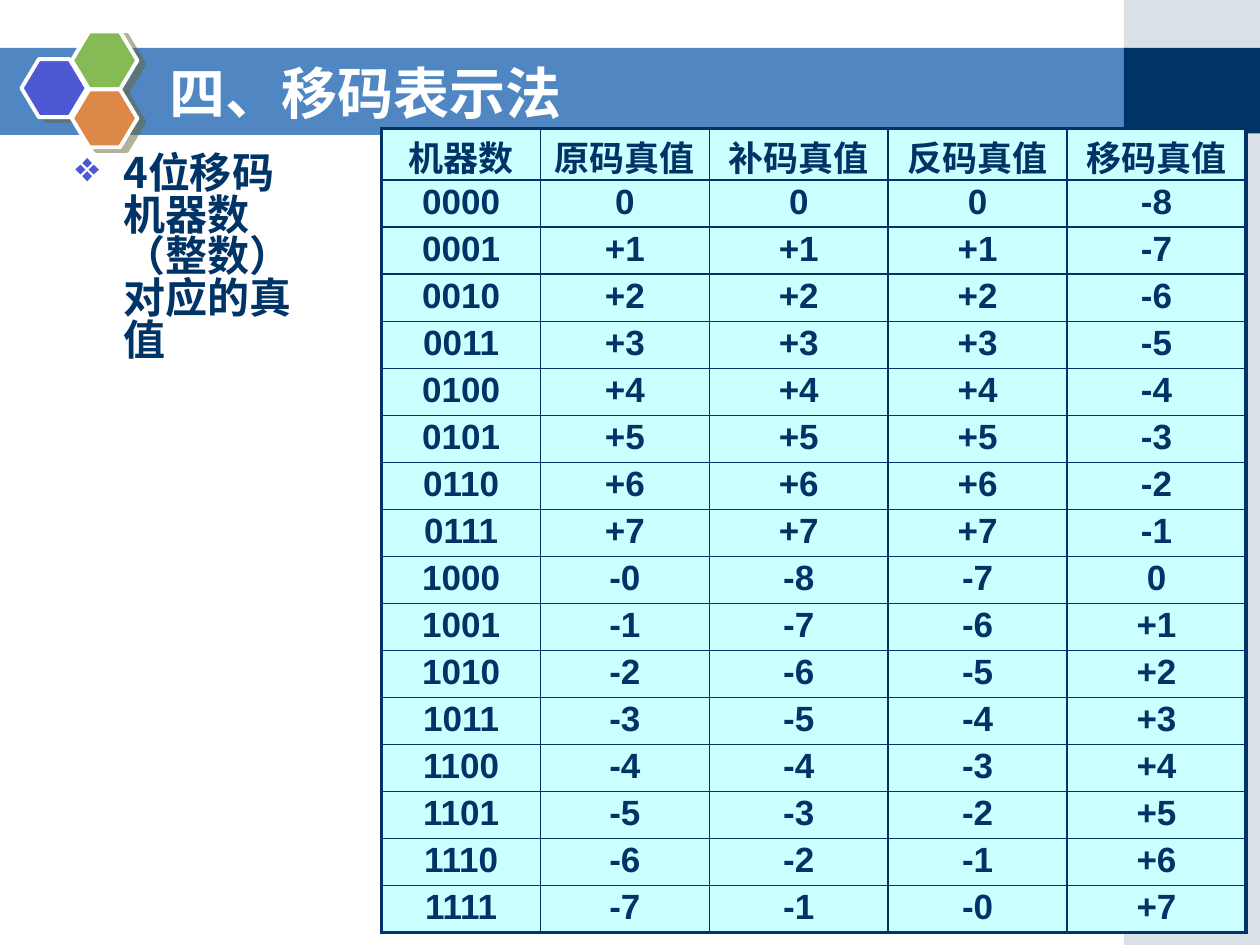
from lxml import etree
from pptx import Presentation, util as u
from pptx.dml.color import RGBColor
from pptx.enum import shapes, text
from pptx.oxml.ns import qn

C = {"band": "5086C2", "panel": "A0B5C4", "navy": "003366", "white": "FFFFFF",
     "blue": "4C59D2", "green": "85BA54", "orange": "DE8848",
     "shade": "666633", "cell": "CCFFFF"}
CJK = "Noto Sans CJK SC"

prs = Presentation()
prs.slide_width, prs.slide_height = u.Inches(10), u.Inches(7.5)
COL, ROW = prs.slide_width / 100, prs.slide_height / 75
s = prs.slides.add_slide(prs.slide_layouts[6])


def add_block(kind, x, y, w, h, color):
    sp = s.shapes.add_shape(kind, int(x * COL), int(y * ROW), int(w * COL), int(h * ROW))
    sp.shadow.inherit = False
    sp.fill.solid()
    sp.fill.fore_color.rgb = RGBColor.from_string(C[color])
    sp.line.fill.background()
    return sp


def write(tf, words, size, color, font):
    p = tf.paragraphs[0]
    p.add_run().text = words
    p.font.size, p.font.bold, p.font.name = u.Pt(size), True, font
    p.font.color.rgb = RGBColor.from_string(C[color])
    etree.SubElement(p.font._rPr, qn("a:ea"), typeface=CJK)
    return p


RECT, HEX = shapes.MSO_SHAPE.RECTANGLE, shapes.MSO_SHAPE.HEXAGON
add_block(RECT, 0, 3.8, 89.5, 6.9, "band")
panel = add_block(RECT, 89.2, 0, 10.8, 75, "panel")
clr = panel.fill._xPr.find(qn("a:solidFill"))[0]
etree.SubElement(clr, qn("a:alpha"), val="40000")
add_block(RECT, 89.2, 3.8, 10.8, 6.8, "navy")

for x, y, color in [(1.7, 4.7, "blue"), (5.7, 2.5, "green"), (5.7, 7.1, "orange")]:
    sp = add_block(HEX, x, y, 5.2, 4.6, color)
    sp.adjustments[0] = 0.3
    sp.line.color.rgb = RGBColor.from_string(C["white"])
    sp.line.width = u.Pt(2.25)
    effects = sp._element.spPr.find(qn("a:effectLst"))
    shadow = etree.SubElement(effects, qn("a:outerShdw"), dist=str(u.Pt(4.5)),
                              dir=str(27 * 60000), algn="ctr", rotWithShape="0")
    clr = etree.SubElement(shadow, qn("a:srgbClr"), val=C["shade"])
    etree.SubElement(clr, qn("a:alpha"), val="50000")

tb = s.shapes.add_textbox(int(12.5 * COL), int(4.2 * ROW), int(73.3 * COL), int(6.2 * ROW))
tf = tb.text_frame
tf.word_wrap = True
tf.vertical_anchor = text.MSO_ANCHOR.MIDDLE
write(tf, "四、移码表示法", 32, "white", CJK)

tb = s.shapes.add_textbox(int(5 * COL), int(11.8 * ROW), int(20.6 * COL), int(30.5 * ROW))
tf = tb.text_frame
tf.word_wrap = True
p = write(tf, "4位移码机器数（整数）对应的真值", 24, "navy", CJK)
p.line_spacing, p.space_before = 0.83, u.Pt(2)
pPr = p._p.get_or_add_pPr()
indent = int(3.8 * COL)
pPr.set("marL", str(indent))
pPr.set("indent", str(-indent))
bullet_color = etree.Element(qn("a:buClr"))
etree.SubElement(bullet_color, qn("a:srgbClr"), val=C["blue"])
bullet = etree.Element(qn("a:buChar"), char="❖")
for el in (bullet_color, bullet):
    pPr.find(qn("a:defRPr")).addprevious(el)

rows = [["机器数", "原码真值", "补码真值", "反码真值", "移码真值"]]
for n in range(16):
    low = n < 8
    signed = [n if low else 8 - n, n if low else n - 16, n if low else n - 15, n - 8]
    cells = [f"{v:+d}" if v else "0" for v in signed]
    if n == 8:
        cells[0] = "-0"
    if n == 15:
        cells[2] = "-0"
    rows.append([f"{n:04b}"] + cells)

widths = [12.6, 13.4, 14.2, 14.2, 14.2]
heights = [4.1] + [3.72] * 16
tbl = s.shapes.add_table(len(rows), len(widths), int(30.3 * COL), int(10.2 * ROW),
                         int(sum(widths) * COL), int(sum(heights) * ROW)).table
tbl.first_row = tbl.horz_banding = False
for column, w in zip(tbl.columns, widths):
    column.width = int(w * COL)
for row, h in zip(tbl.rows, heights):
    row.height = int(h * ROW)

for i, values in enumerate(rows):
    for j, value in enumerate(values):
        cell = tbl.cell(i, j)
        cell.margin_top = cell.margin_bottom = u.Inches(0.02)
        cell.fill.solid()
        cell.fill.fore_color.rgb = RGBColor.from_string(C["cell"])
        p = write(cell.text_frame, value, 20, "navy", "Arial")
        p.alignment = text.PP_ALIGN.CENTER
        outer = {"lnL": j == 0, "lnR": j == len(widths) - 1,
                 "lnT": i == 0, "lnB": i == len(rows) - 1}
        for k, (side, edge) in enumerate(outer.items()):
            ln = etree.Element(qn("a:" + side), w=str(u.Pt(2.25 if edge else 1)))
            fill = etree.SubElement(ln, qn("a:solidFill"))
            etree.SubElement(fill, qn("a:srgbClr"), val=C["navy"])
            cell._tc.tcPr.insert(k, ln)

prs.save("out.pptx")
